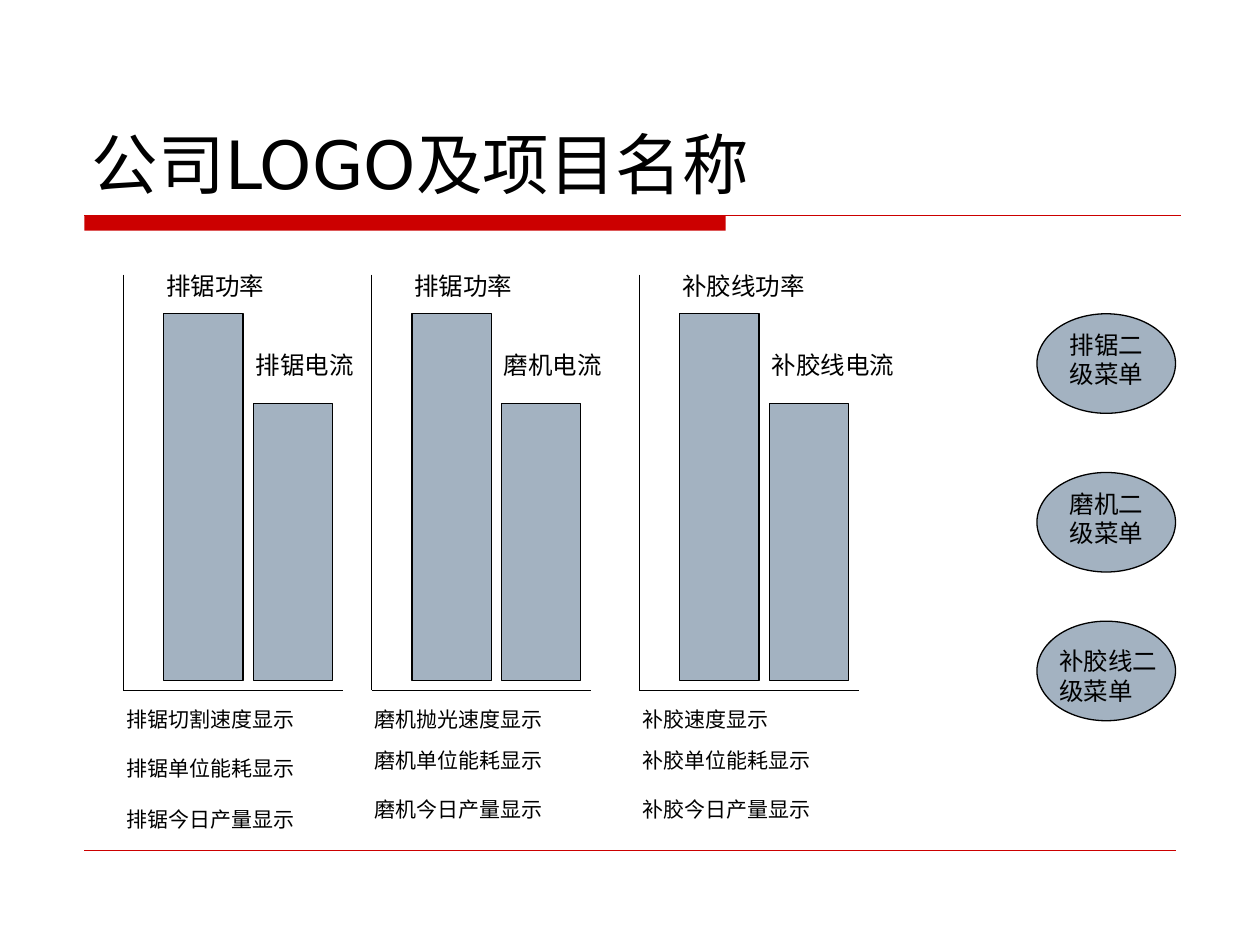
from dataclasses import dataclass

import pptx
import pptx.dml.color
import pptx.enum.shapes
import pptx.enum.text
import pptx.oxml.ns
import pptx.util
from lxml import etree

RED = pptx.dml.color.RGBColor(0xCC, 0x00, 0x00)
BLACK = pptx.dml.color.RGBColor(0x00, 0x00, 0x00)
STEEL = pptx.dml.color.RGBColor(0xA3, 0xB2, 0xC1)
FONT = "DejaVu Sans"
SHAPES = pptx.enum.shapes.MSO_SHAPE
ANCHOR = pptx.enum.text.MSO_ANCHOR
FIT = pptx.enum.text.MSO_AUTO_SIZE

deck = pptx.Presentation()
deck.slide_width = pptx.util.Inches(10)
deck.slide_height = pptx.util.Inches(7.5)
COLUMN = deck.slide_width // 100
ROW = deck.slide_height // 75


@dataclass
class Area:
    column: float
    row: float
    columns: float
    rows: float

    def lengths(self) -> tuple[int, int, int, int]:
        return (round(self.column * COLUMN), round(self.row * ROW),
                round(self.columns * COLUMN), round(self.rows * ROW))


@dataclass
class Panel:
    column: float
    power: str
    current: str
    label_columns: float
    readings: list[str]
    reading_rows: list[float]


@dataclass
class Menu:
    row: float
    text: str
    area: Area


PANELS = [
    Panel(9.8, "排锯功率", "排锯电流", 11,
          ["排锯切割速度显示", "排锯单位能耗显示", "排锯今日产量显示"], [55.6, 59.5, 63.5]),
    Panel(29.5, "排锯功率", "磨机电流", 11,
          ["磨机抛光速度显示", "磨机单位能耗显示", "磨机今日产量显示"], [55.6, 58.8, 62.7]),
    Panel(50.75, "补胶线功率", "补胶线电流", 15,
          ["补胶速度显示", "补胶单位能耗显示", "补胶今日产量显示"], [55.6, 58.8, 62.7]),
]
MENUS = [
    Menu(24.9, "排锯二级菜单", Area(83.9, 25.7, 7.9, 5.7)),
    Menu(37.5, "磨机二级菜单", Area(83.9, 38.3, 7.9, 5.7)),
    Menu(49.3, "补胶线二级菜单", Area(83.1, 50.8, 10.3, 5.7)),
]


def write(box, text: str, *, size: float, color=BLACK, anchor=ANCHOR.TOP, fit=FIT.NONE) -> None:
    frame = box.text_frame
    frame.word_wrap = True
    frame.auto_size = fit
    frame.vertical_anchor = anchor
    para = frame.paragraphs[0]
    para.alignment = pptx.enum.text.PP_ALIGN.LEFT
    para.space_before = pptx.util.Pt(0)
    span = para.add_run()
    span.text = text
    span.font.size = pptx.util.Pt(size)
    span.font.name = FONT
    span.font.color.rgb = color
    east = etree.SubElement(span.font._element, pptx.oxml.ns.qn("a:ea"))
    east.set("typeface", FONT)


def add_label(page, area: Area, text: str, size: float) -> None:
    box = page.shapes.add_textbox(*area.lengths())
    write(box, text, size=size, fit=FIT.SHAPE_TO_FIT_TEXT)


def add_figure(page, kind, area: Area, fill=STEEL, line=BLACK) -> None:
    figure = page.shapes.add_shape(kind, *area.lengths())
    figure.shadow.inherit = False
    figure.fill.solid()
    figure.fill.fore_color.rgb = fill
    if line is None:
        figure.line.fill.background()
    else:
        figure.line.color.rgb = line
        figure.line.width = pptx.util.Pt(0.75)


def add_rule(page, area: Area, color=BLACK, width: float = 0.75) -> None:
    left, top, across, down = area.lengths()
    rule = page.shapes.add_connector(pptx.enum.shapes.MSO_CONNECTOR.STRAIGHT,
                                     left, top, left + across, top + down)
    rule.line.color.rgb = color
    rule.line.width = pptx.util.Pt(width)
    etree.SubElement(rule._element.spPr, pptx.oxml.ns.qn("a:effectLst"))


def add_panel(page, panel: Panel) -> None:
    add_rule(page, Area(panel.column, 21.8, 0, 33))
    add_rule(page, Area(panel.column, 54.8, 17.4, 0))
    bars = [(3.2, 24.9, panel.power, 21), (10.3, 32, panel.current, 27.3)]
    for offset, top, text, label_row in reversed(bars):
        left = panel.column + offset
        add_figure(page, SHAPES.RECTANGLE, Area(left, top, 6.3, 54 - top))
        add_label(page, Area(left - 0.8, label_row, panel.label_columns, 3.4), text, 14)
    for text, row in zip(panel.readings, panel.reading_rows):
        add_label(page, Area(panel.column - 0.75, row, 15.7, 3), text, 12)


def add_menu(page, menu: Menu) -> None:
    add_figure(page, SHAPES.OVAL, Area(82.3, menu.row, 11, 7.9))
    add_label(page, menu.area, menu.text, 14)


def main() -> None:
    page = deck.slides.add_slide(deck.slide_layouts[5])
    add_figure(page, SHAPES.RECTANGLE, Area(6.7, 17.1, 50.9, 1.2), RED, None)
    add_rule(page, Area(6.7, 17.1, 87, 0), RED)
    add_rule(page, Area(6.7, 67.5, 86.6, 0), RED, 0.25)
    title = page.shapes.title
    title.left, title.top, title.width, title.height = Area(6.3, 3.3, 87.5, 13.3).lengths()
    write(title, "公司LOGO及项目名称", size=38, anchor=ANCHOR.BOTTOM)
    for panel in PANELS:
        add_panel(page, panel)
    for menu in MENUS:
        add_menu(page, menu)
    deck.save("out.pptx")


if __name__ == "__main__":
    main()
